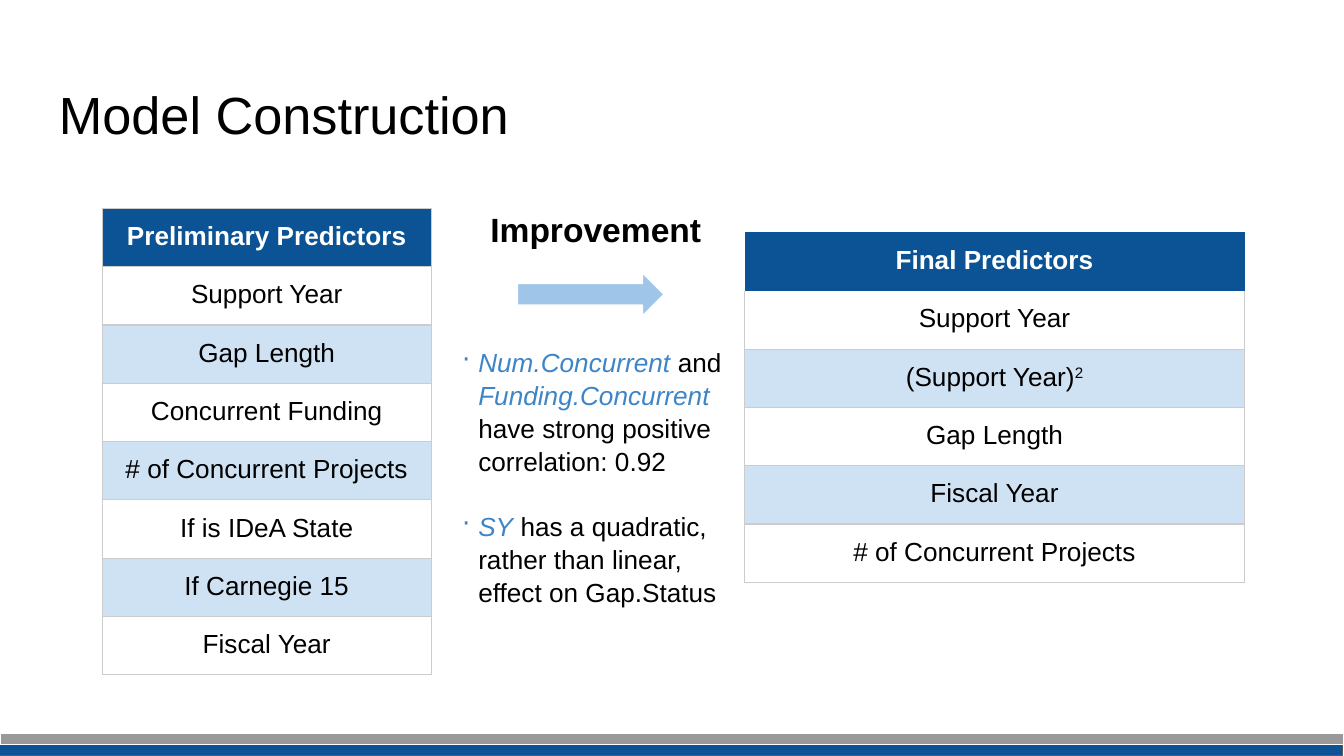
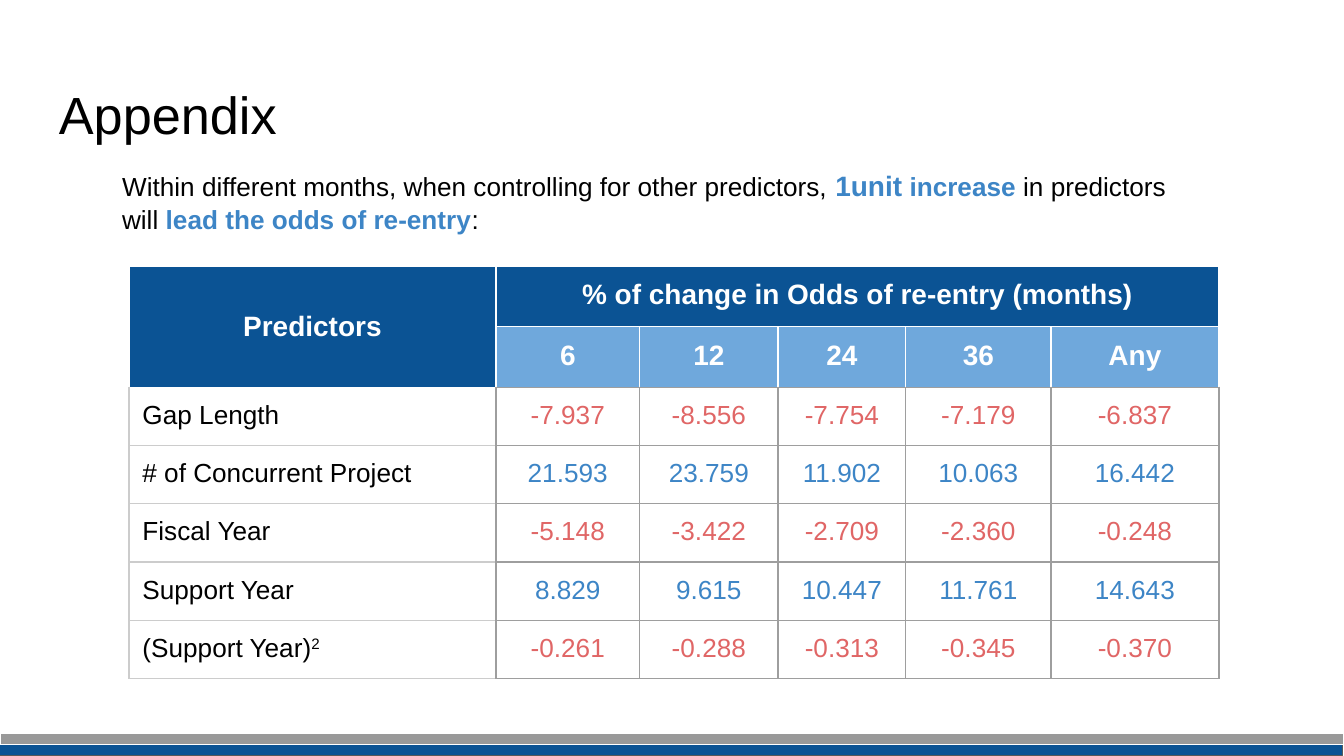
from lxml.etree import SubElement, Element
from pptx import Presentation
from pptx.dml.color import RGBColor
from pptx.enum.shapes import MSO_SHAPE as Shape
from pptx.enum.text import MSO_ANCHOR as Anchor, PP_ALIGN as Align
from pptx.oxml.ns import qn
from pptx.util import Pt

PX = 4572
FONT = "Arial"
INSET = 20
PLAIN = "{2D5ABB26-0587-4C30-8999-92F81FD0307C}"
HUES = {
    "navy": "0B5394", "sky": "6FA8DC", "arrow": "9FC5E8", "pale": "CFE2F3",
    "blue": "3D85C6", "red": "E06666", "black": "000000", "white": "FFFFFF",
    "band": "999999", "edge": "595959", "grid": "9E9E9E", "rule": "CCCCCC",
}
SQUARE = ["(Support Year)", ("2", {"sup": True})]
FIRST = ["Preliminary Predictors", "Support Year", "Gap Length", "Concurrent Funding",
         "# of Concurrent Projects", "If is IDeA State", "If Carnegie 15", "Fiscal Year"]
FINAL = ["Final Predictors", "Support Year", SQUARE, "Gap Length", "Fiscal Year",
         "# of Concurrent Projects"]
TERM = {"color": "blue", "italic": True}
KEY = {"color": "blue", "bold": True}
NOTES = [
    [("Num.Concurrent", TERM), " and ", ("Funding.Concurrent", TERM),
     " have strong positive correlation: 0.92"],
    [("SY", TERM), " has a quadratic, rather than linear, effect on Gap.Status"],
]
LEAD = ["Within different months, when controlling for other predictors, ",
        ("1unit", {**KEY, "size": 15}), " ", ("increase", KEY), " in predictors will ",
        ("lead the odds of re-entry", KEY), ":"]
MONTHS = ["6", "12", "24", "36", "Any"]
ODDS = [
    ("Gap Length", ["-7.937", "-8.556", "-7.754", "-7.179", "-6.837"]),
    ("# of Concurrent Project", ["21.593", "23.759", "11.902", "10.063", "16.442"]),
    ("Fiscal Year", ["-5.148", "-3.422", "-2.709", "-2.360", "-0.248"]),
    ("Support Year", ["8.829", "9.615", "10.447", "11.761", "14.643"]),
    (SQUARE, ["-0.261", "-0.288", "-0.313", "-0.345", "-0.370"]),
]


def rgb(name):
    return RGBColor.from_string(HUES[name])


def emu(*nums):
    return [num * PX for num in nums]


def style(font, color=None, size=None, bold=None, italic=None, sup=False):
    if color:
        font.color.rgb = rgb(color)
    if size:
        font.size = Pt(size)
    if bold is not None:
        font.bold = bold
    if italic is not None:
        font.italic = italic
    if sup:
        font._element.set("baseline", "30000")


def write(para, text, size=14, color="black", bold=False, align=Align.LEFT):
    para.alignment = align
    para.font.name = FONT
    style(para.font, color, size, bold)
    for part in [text] if isinstance(text, str) else text:
        words, look = (part, {}) if isinstance(part, str) else part
        run = para.add_run()
        run.text = words
        style(run.font, **look)


def pad(item, side, end):
    item.margin_left = item.margin_right = side * PX
    item.margin_top = item.margin_bottom = end * PX


def label(slide, box, texts, end=INSET, **look):
    frame = slide.shapes.add_textbox(*emu(*box)).text_frame
    frame.word_wrap = True
    frame.vertical_anchor = Anchor.TOP
    pad(frame, INSET, end)
    for num, text in enumerate(texts):
        para = frame.add_paragraph() if num else frame.paragraphs[0]
        para.line_spacing = 1.05
        write(para, text, **look)
    return frame.paragraphs


def block(slide, kind, box, fill, line):
    shape = slide.shapes.add_shape(kind, *emu(*box))
    shape.shadow.inherit = False
    shape.fill.solid()
    shape.fill.fore_color.rgb = rgb(fill)
    shape.line.color.rgb = rgb(line)
    shape.line.width = Pt(0.75)


def border(cell, left, right, top, bottom):
    props = cell._tc.get_or_add_tcPr()
    for num, (side, hue) in enumerate(zip("LRTB", (left, right, top, bottom))):
        line = Element(qn("a:ln" + side), w=str(Pt(0.75)))
        if hue:
            fill = SubElement(line, qn("a:solidFill"))
            SubElement(fill, qn("a:srgbClr"), val=HUES[hue])
        else:
            SubElement(line, qn("a:noFill"))
        props.insert(num, line)


def paint(cell, text, fill, edges, align=Align.CENTER, **look):
    pad(cell, INSET, INSET)
    cell.fill.solid()
    cell.fill.fore_color.rgb = rgb(fill)
    border(cell, *edges)
    write(cell.text_frame.paragraphs[0], text, align=align, **look)


def grid(slide, left, top, cols, rows):
    box = emu(left, top, sum(cols), sum(rows))
    table = slide.shapes.add_table(len(rows), len(cols), *box).table
    table.first_row = table.horz_banding = False
    table._tbl.tblPr.find(qn("a:tableStyleId")).text = PLAIN
    for col, wide in zip(table.columns, cols):
        col.width = wide * PX
    for row, tall in zip(table.rows, rows):
        row.height = tall * PX
    return table


def listing(slide, left, top, wide, names, head):
    table = grid(slide, left, top, [wide], [84] * len(names))
    for num, name in enumerate(names):
        cell = table.cell(num, 0)
        if num == 0:
            paint(cell, name, "navy", [head] * 4, color="white", bold=True)
        else:
            above = head if num == 1 else "rule"
            fill = "white" if num % 2 else "pale"
            paint(cell, name, fill, ["rule", "rule", above, "rule"])


def odds(slide, left, top):
    table = grid(slide, left, top, [546, 214, 206, 190, 216, 250], [84, 84, 84] + [86] * 4)
    head = {"size": 15, "color": "white", "bold": True}
    white = ["white"] * 4
    table.cell(0, 0).merge(table.cell(1, 0))
    table.cell(0, 1).merge(table.cell(0, 5))
    paint(table.cell(0, 0), "Predictors", "navy", white, **head)
    table.cell(0, 0).vertical_anchor = Anchor.MIDDLE
    paint(table.cell(0, 1), "% of change in Odds of re-entry (months)", "navy", white, **head)
    for col, month in enumerate(MONTHS, 1):
        paint(table.cell(1, col), month, "sky", white[:3] + ["grid"], **head)
    for row, (name, nums) in enumerate(ODDS, 2):
        above = "white" if row == 2 else "rule"
        paint(table.cell(row, 0), name, "white", ["rule", "grid", above, "rule"], Align.LEFT)
        for col, num in enumerate(nums, 1):
            hue = "red" if num.startswith("-") else "blue"
            paint(table.cell(row, col), num, "white", ["grid"] * 4, color=hue)


def notes(slide, box):
    paras = label(slide, box, NOTES, end=10)
    for para in paras:
        props = para._p.get_or_add_pPr()
        props.set("marL", str(34 * PX))
        props.set("indent", str(-24 * PX))
        mark = Element(qn("a:buChar"), char="·")
        props.insert(list(props).index(props.find(qn("a:defRPr"))), mark)
    paras[1].space_before = Pt(17)


def base(deck, title):
    slide = deck.slides.add_slide(deck.slide_layouts[6])
    block(slide, Shape.RECTANGLE, (-2, 1108, 2000, 16), "navy", "edge")
    block(slide, Shape.RECTANGLE, (0, 1092, 2000, 16), "band", "white")
    label(slide, (68, 98, 1864, 126), [title], size=28)
    return slide


def model(deck):
    slide = base(deck, "Model Construction")
    label(slide, (710, 288, 404, 108), ["Improvement"], size=18, bold=True)
    listing(slide, 152, 310, 490, FIRST, "rule")
    listing(slide, 1108, 346, 744, FINAL, None)
    block(slide, Shape.RIGHT_ARROW, (770, 406, 218, 64), "arrow", "white")
    notes(slide, (658, 504, 444, 444))


def extra(deck):
    slide = base(deck, "Appendix")
    lead = label(slide, (112, 228, 1696, 88), [LEAD])[0]
    lead._p.get_or_add_pPr().set("marL", str(50 * PX))
    odds(slide, 192, 396)


def main():
    deck = Presentation()
    deck.slide_width, deck.slide_height = emu(2000, 1125)
    model(deck)
    extra(deck)
    deck.save("out.pptx")


if __name__ == "__main__":
    main()
